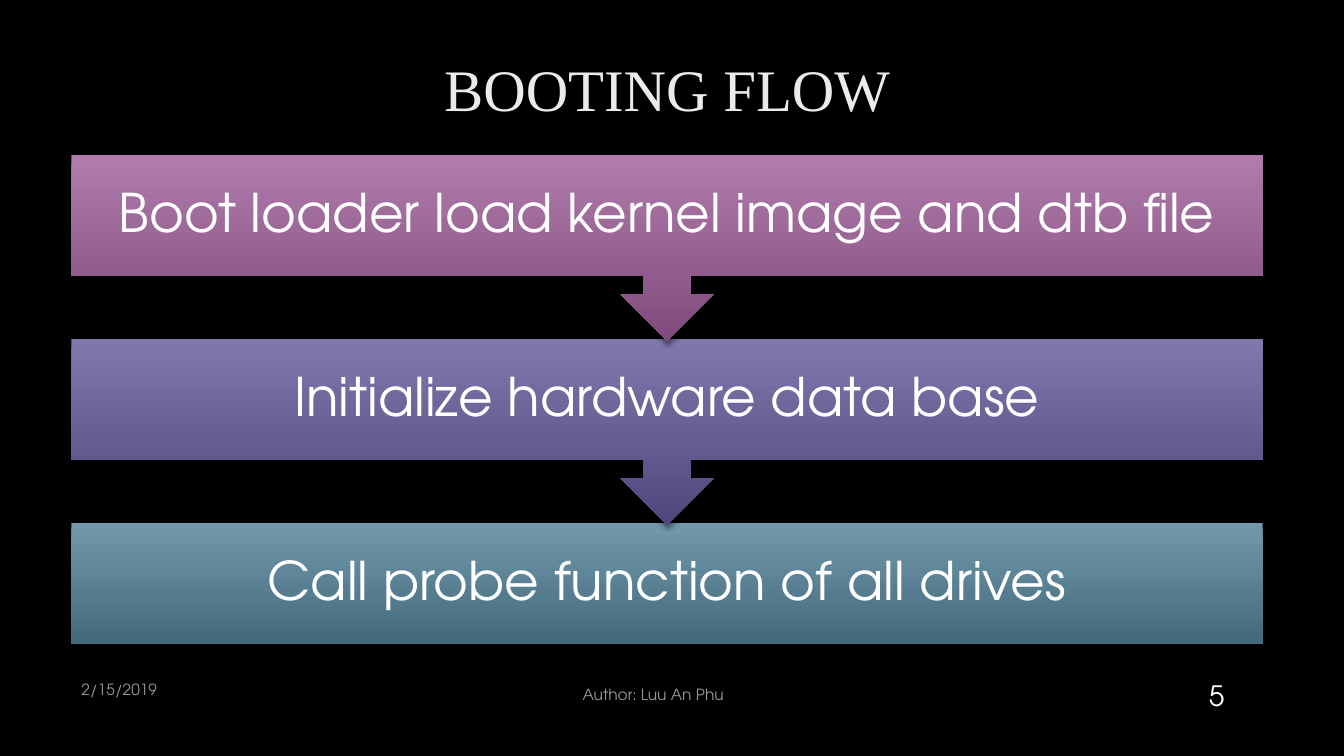
from lxml import etree
from pptx import Presentation
from pptx.dml.color import RGBColor
from pptx.enum.shapes import MSO_SHAPE as Shape
from pptx.enum.text import MSO_ANCHOR as Anchor, PP_ALIGN as Align
from pptx.oxml import parse_xml
from pptx.oxml.ns import nsdecls, qn
from pptx.util import Pt

SANS = "TeX Gyre Adventor"
SERIF = "Times New Roman"
MARGIN = 51
CONTENT_WIDTH = 851
STEP_HEIGHT = 86.4
CALLOUT_HEIGHT = 132.8
STEP_PITCH = 131.4
STEPS = [
    ("Boot loader load kernel image and dtb file", "AF7CAC", "7F4B7C"),
    ("Initialize hardware data base", "8077AC", "51477D"),
    ("Call probe function of all drives", "7198AB", "436A7C"),
]


def color(hex_string):
    return RGBColor.from_string(hex_string)


def write(text_frame, text, size, font=SANS, fill="FFFFFF", opacity=100,
          align=Align.LEFT, anchor=Anchor.TOP):
    text_frame.word_wrap = True
    text_frame.vertical_anchor = anchor
    text_frame.text = text
    paragraph = text_frame.paragraphs[0]
    paragraph.alignment = align
    run = paragraph.runs[0]
    run.font.size = Pt(size)
    run.font.name = font
    run.font.color.rgb = color(fill)
    if opacity < 100:
        solid = run._r.rPr.find(qn("a:solidFill"))
        etree.SubElement(solid[0], qn("a:alpha"), val=str(opacity * 1000))
    return paragraph


def add_text(slide, left, top, width, height, text, size, **style):
    box = slide.shapes.add_textbox(Pt(left), Pt(top), Pt(width), Pt(height))
    write(box.text_frame, text, size, **style)


def add_soft_shadow(shape):
    shape.shadow.inherit = False
    effects = shape._element.spPr.find(qn("a:effectLst"))
    effects.append(parse_xml(
        f'<a:outerShdw {nsdecls("a")} blurRad="{Pt(3)}" dist="{Pt(2)}" '
        'dir="5400000" rotWithShape="0"><a:srgbClr val="000000">'
        '<a:alpha val="45000"/></a:srgbClr></a:outerShdw>'))


def add_step(slide, left, top, width, height, kind, text, start, end):
    shape = slide.shapes.add_shape(kind, Pt(left), Pt(top), Pt(width), Pt(height))
    shape.line.fill.background()
    shape.fill.gradient()
    shape.fill.gradient_angle = 270
    for stop, position, shade in zip(shape.fill.gradient_stops, (0, 1), (start, end)):
        stop.position = position
        stop.color.rgb = color(shade)
    add_soft_shadow(shape)
    frame = shape.text_frame
    frame.margin_left = frame.margin_right = Pt(21.6)
    frame.margin_top = frame.margin_bottom = Pt(21.6)
    paragraph = write(frame, text, 38, align=Align.CENTER, anchor=Anchor.MIDDLE)
    paragraph.line_spacing = 0.9


def add_flow(slide, left, top, width):
    """Stack the steps from the last up, so each arrow tip overlaps the step below."""
    last = len(STEPS) - 1
    for index in range(last, -1, -1):
        kind, height = Shape.DOWN_ARROW_CALLOUT, CALLOUT_HEIGHT
        if index == last:
            kind, height = Shape.RECTANGLE, STEP_HEIGHT
        add_step(slide, left, top + index * STEP_PITCH, width, height, kind, *STEPS[index])


def add_footer(slide, left, top, width):
    add_text(slide, left, top, 78, 24, "2/15/2019", 11, opacity=60)
    add_text(slide, left + 358, top, 135, 24, "Author: Luu An Phu", 11,
             opacity=60, anchor=Anchor.BOTTOM)
    add_text(slide, left + width - 66, top - 7, 66, 43, "5", 20,
             align=Align.CENTER, anchor=Anchor.MIDDLE)


def main():
    presentation = Presentation()
    presentation.slide_width, presentation.slide_height = Pt(960), Pt(540)
    slide = presentation.slides.add_slide(presentation.slide_layouts[6])
    slide.background.fill.solid()
    slide.background.fill.fore_color.rgb = color("000000")
    add_text(slide, MARGIN, 34, CONTENT_WIDTH, 72, "BOOTING FLOW", 42,
             font=SERIF, fill="EBEBEB", align=Align.CENTER)
    add_footer(slide, MARGIN, 482, CONTENT_WIDTH)
    add_flow(slide, MARGIN, 110.8, CONTENT_WIDTH)
    presentation.save("out.pptx")


if __name__ == "__main__":
    main()
